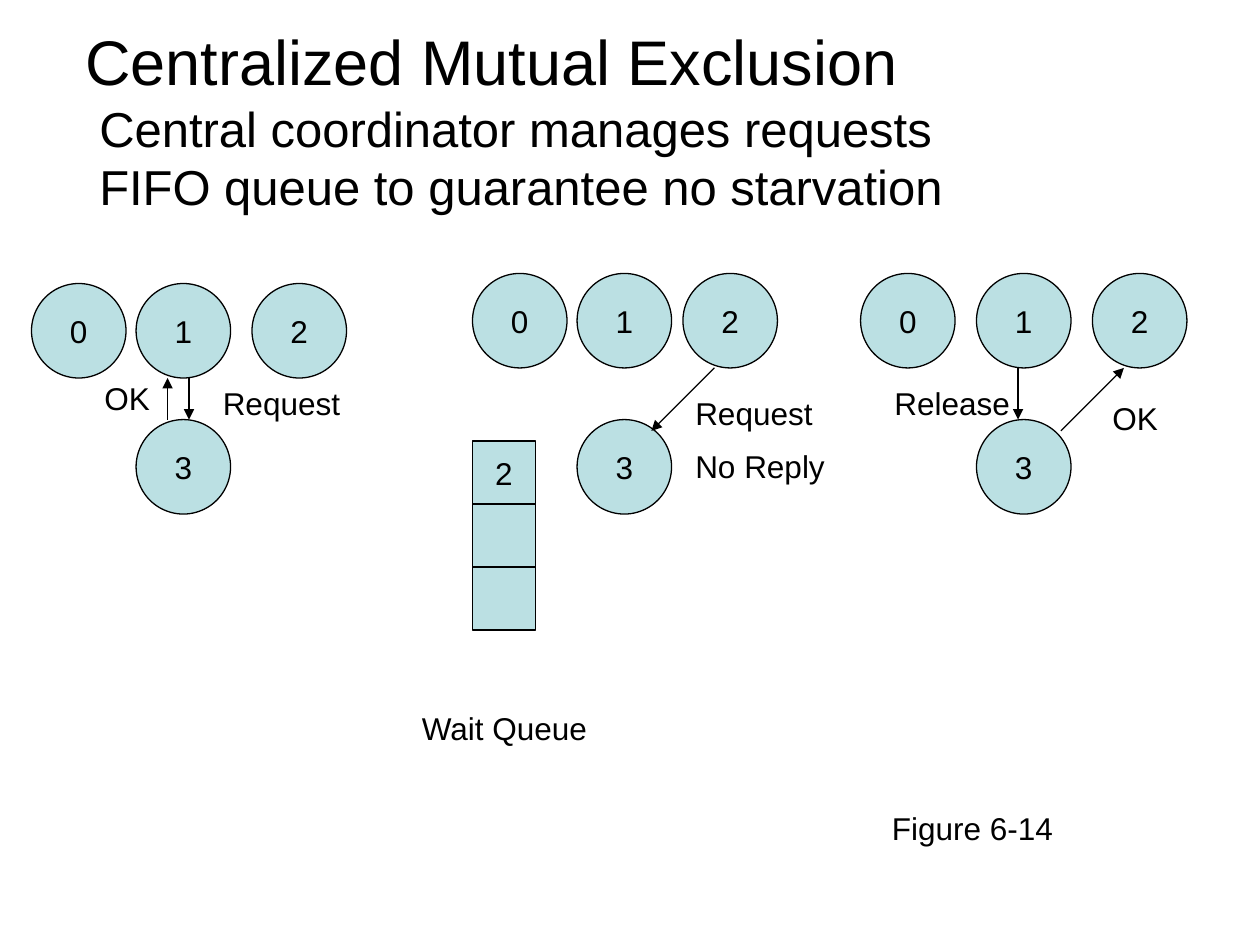
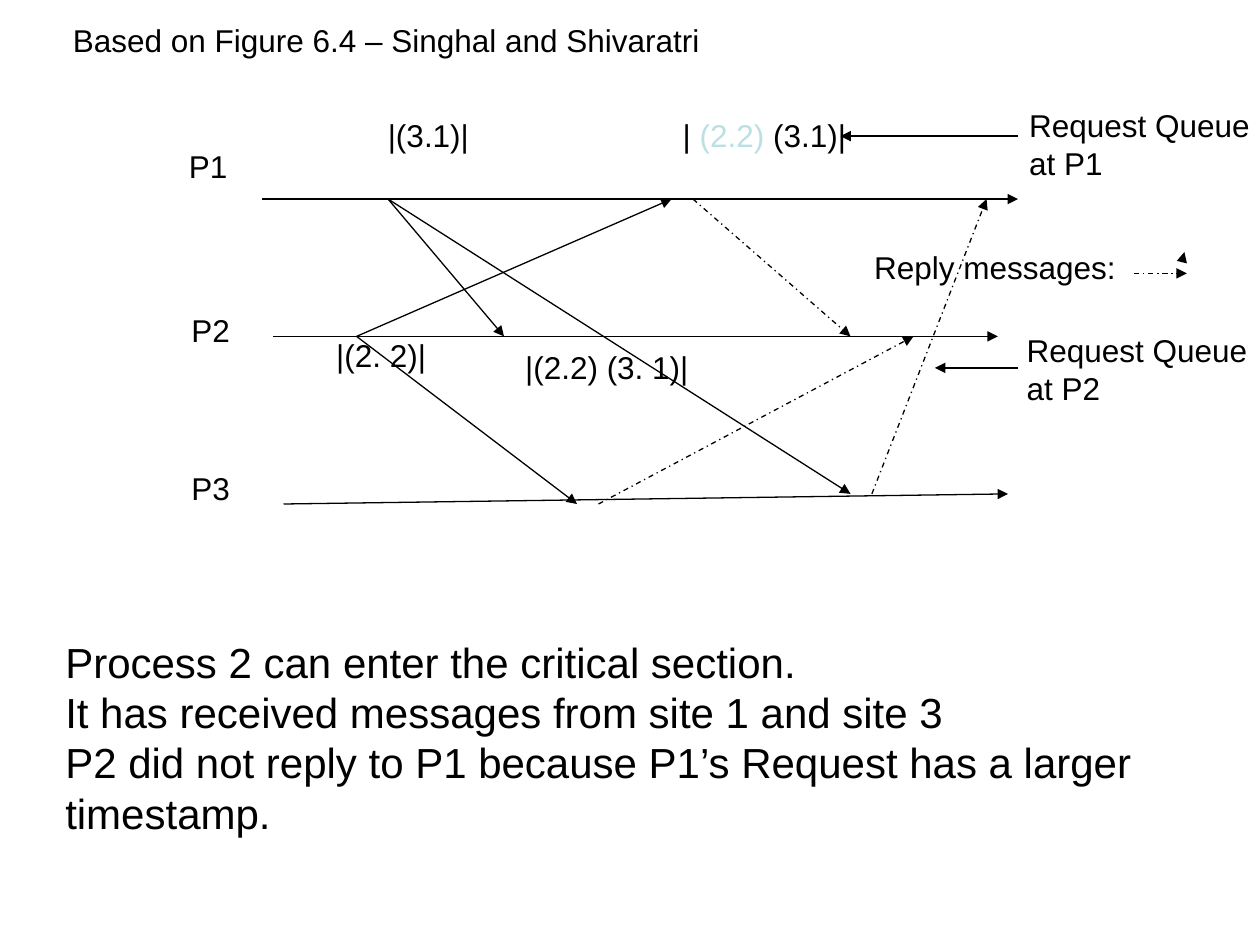
from dataclasses import dataclass

from lxml.etree import SubElement
from pptx import Presentation
from pptx.dml.color import RGBColor
from pptx.enum.dml import MSO_LINE
from pptx.enum.shapes import MSO_CONNECTOR, MSO_SHAPE
from pptx.enum.text import MSO_ANCHOR, MSO_AUTO_SIZE, PP_ALIGN
from pptx.oxml.ns import qn
from pptx.util import Inches, Pt


@dataclass(frozen=True)
class Theme:
    font: str = "Arial"
    ink: RGBColor = RGBColor(0x00, 0x00, 0x00)
    accent: RGBColor = RGBColor(0xBB, 0xE0, 0xE3)
    title: int = 36
    subtitle: int = 28
    body: int = 24
    label: int = 18
    line: float = 0.75


class Deck:
    def __init__(self, theme):
        self.theme = theme
        self.prs = Presentation()
        self.prs.slide_width = Inches(10)
        self.prs.slide_height = Inches(7.5)
        self.s = None

    def slide(self):
        self.s = self.prs.slides.add_slide(self.prs.slide_layouts[6])

    def style(self, r, size, color=None):
        r.font.name = self.theme.font
        r.font.size = Pt(size)
        r.font.color.rgb = color or self.theme.ink

    def text(self, x, y, w, h, lines, size=None, wrap=False):
        sp = self.s.shapes.add_textbox(Inches(x), Inches(y), Inches(w), Inches(h))
        tf = sp.text_frame
        tf.text = "\n".join(lines)
        tf.word_wrap = wrap
        tf.auto_size = MSO_AUTO_SIZE.SHAPE_TO_FIT_TEXT
        for p in tf.paragraphs:
            for r in p.runs:
                self.style(r, size or self.theme.label)
        return tf

    def label(self, x, y, w, text):
        return self.text(x, y, w, 0.4, [text])

    def node(self, kind, x, y, size, text=""):
        sp = self.s.shapes.add_shape(kind, Inches(x), Inches(y), Inches(size), Inches(size))
        sp.shadow.inherit = False
        sp.fill.solid()
        sp.fill.fore_color.rgb = self.theme.accent
        sp.line.color.rgb = self.theme.ink
        sp.line.width = Pt(self.theme.line)
        if text:
            tf = sp.text_frame
            tf.text = text
            tf.word_wrap = False
            tf.vertical_anchor = MSO_ANCHOR.MIDDLE
            p = tf.paragraphs[0]
            p.alignment = PP_ALIGN.CENTER
            self.style(p.runs[0], self.theme.label)

    def arrow(self, x1, y1, x2, y2, dashed=False, head=True):
        c = self.s.shapes.add_connector(
            MSO_CONNECTOR.STRAIGHT, Inches(x1), Inches(y1), Inches(x2), Inches(y2))
        c.line.color.rgb = self.theme.ink
        c.line.width = Pt(self.theme.line)
        if dashed:
            c.line.dash_style = MSO_LINE.DASH_DOT
        if head:
            SubElement(c.line._get_or_add_ln(), qn("a:tailEnd"), type="triangle")
        SubElement(c._element.spPr, qn("a:effectLst"))


def centralized_exclusion(deck):
    deck.slide()
    theme = deck.theme
    process, cell = 0.75, 0.5
    coordinator_top = 3.33
    stages = [
        (2.25, (0.25, 1.08, 2)),
        (2.17, (3.75, 4.58, 5.42)),
        (2.17, (6.83, 7.75, 8.67)),
    ]
    for top, lefts in stages:
        for number, left in enumerate(lefts):
            deck.node(MSO_SHAPE.OVAL, left, top, process, str(number))
        deck.node(MSO_SHAPE.OVAL, lefts[1], coordinator_top, process, "3")

    for ends in [
        (1.33, 3.33, 1.33, 3),
        (1.5, 3, 1.5, 3.33),
        (5.67, 2.92, 5.17, 3.42),
        (8.08, 2.92, 8.08, 3.33),
        (8.42, 3.42, 8.92, 2.92),
    ]:
        deck.arrow(*ends)

    for i, text in enumerate(["2", "", ""]):
        deck.node(MSO_SHAPE.RECTANGLE, 3.75, 3.5 + i * cell, cell, text)

    for label in [
        (1.67, 3, 1.16, "Request"),
        (0.73, 2.96, 0.6, "OK"),
        (5.42, 3.08, 1.16, "Request"),
        (7, 3, 1.15, "Release"),
        (8.73, 3.12, 0.6, "OK"),
        (5.42, 3.5, 1.26, "No Reply"),
        (3.25, 5.58, 1.55, "Wait Queue"),
        (6.98, 6.37, 1.52, "Figure 6-14"),
    ]:
        deck.label(*label)

    tf = deck.text(0.58, 0.13, 7.04, 1.64, [
        "Centralized Mutual Exclusion",
        "Central coordinator manages requests",
        "FIFO queue to guarantee no starvation",
    ], theme.subtitle)
    title, *subtitles = tf.paragraphs
    title.runs[0].font.size = Pt(theme.title)
    for p in subtitles:
        p._p.get_or_add_pPr().set("marL", str(Inches(0.11)))


def request_timeline(deck):
    deck.slide()
    theme = deck.theme
    p1, p2, p3, p3_end = 1.58, 2.67, 4, 3.92
    timelines = [
        (2.08, p1, 8.08, p1),
        (2.17, p2, 7.92, p2),
        (2.25, p3, 8, p3_end),
    ]
    requests = [
        (3.08, p1, 4, p2),
        (3.08, p1, 6.75, p3_end),
        (2.83, p2, 5.33, p1),
        (2.83, p2, 4.58, p3),
    ]
    replies = [
        (5.5, p1, 6.75, p2),
        (4.75, p3, 7.25, p2),
        (6.92, p3_end, 7.83, p1),
    ]
    queue_pointers = [(8.08, 1.08, 6.67, 1.08), (8.08, 2.92, 7.42, 2.92)]
    legend_heads = [(9.38, 2.08, 9.4, 2), (9.33, 2.17, 9.42, 2.17)]
    for ends in timelines + requests + queue_pointers + legend_heads:
        deck.arrow(*ends)
    for ends in replies:
        deck.arrow(*ends, dashed=True)
    deck.arrow(9, 2.17, 9.33, 2.17, dashed=True, head=False)

    for label in [
        (0.48, 0.12, 5.22, "Based on Figure 6.4 – Singhal and Shivaratri"),
        (1.4, 1.12, 0.55, "P1"),
        (1.42, 2.42, 0.55, "P2"),
        (1.42, 3.67, 0.55, "P3"),
        (2.98, 0.87, 0.88, "|(3.1)|"),
        (2.57, 2.62, 0.95, "|(2. 2)|"),
        (4.07, 2.71, 1.54, "|(2.2) (3. 1)|"),
        (6.84, 1.92, 2.16, "Reply messages:"),
    ]:
        deck.label(*label)

    p = deck.label(5.32, 0.87, 1.54, "| ").paragraphs[0]
    for text, color in [("(2.2)", theme.accent), (" (3.1)|", theme.ink)]:
        r = p.add_run()
        r.text = text
        deck.style(r, theme.label, color)

    for x, y, site in [(8.07, 0.79, "P1"), (8.05, 2.58, "P2")]:
        deck.text(x, y, 1.98, 0.7, ["Request Queue", f"at {site}"])

    deck.text(0.42, 5, 9.17, 1.7, [
        "Process 2 can enter the critical section.",
        "It has received messages from site 1 and site 3",
        "P2 did not reply to P1 because P1’s Request has a larger timestamp.",
    ], theme.body, wrap=True)


def main():
    deck = Deck(Theme())
    centralized_exclusion(deck)
    request_timeline(deck)
    deck.prs.save("out.pptx")


if __name__ == "__main__":
    main()
